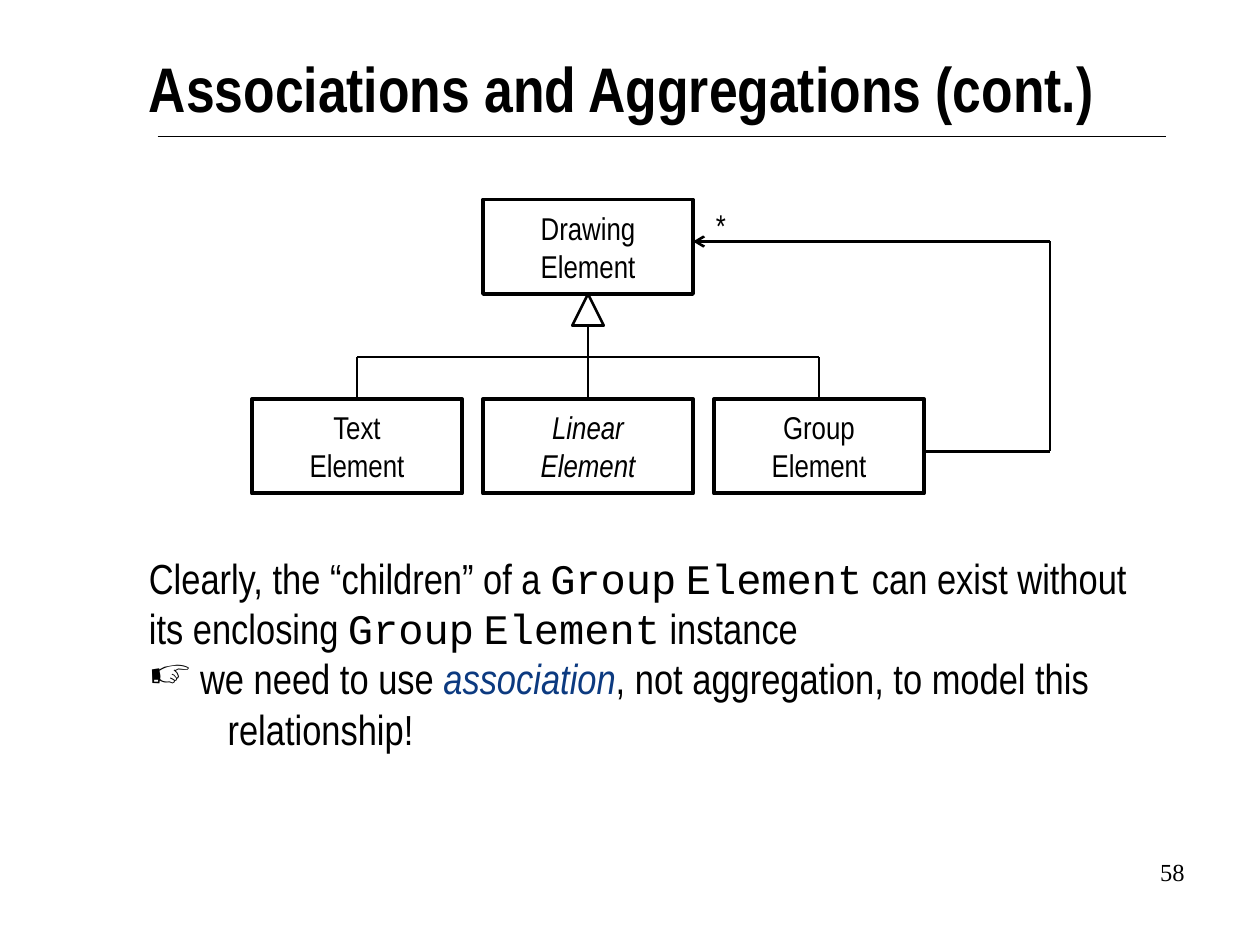
from lxml.etree import SubElement
from pptx import Presentation
from pptx.dml.color import RGBColor
from pptx.enum.shapes import MSO_CONNECTOR as Link, MSO_SHAPE as Shape
from pptx.enum.text import MSO_ANCHOR as Anchor, PP_ALIGN as Align
from pptx.oxml.ns import qn
from pptx.util import Pt

color = RGBColor.from_string
NARROW, MONO, SERIF = "Arial Narrow", "Courier New", "Times New Roman"
INK = "000000"


def put(para, text, size=24, face=NARROW, ink=INK, bold=False, slant=False):
    """Add text to a paragraph, with a line break at each newline."""
    for i, part in enumerate(text.split("\n")):
        if i:
            para.add_line_break()
        run = para.add_run()
        run.text = part
        font = run.font
        font.size, font.name, font.bold, font.italic = Pt(size), face, bold, slant
        font.color.rgb = color(ink)


def draw(kind, x, y, w, h, weight):
    """Add an outlined shape without fill."""
    item = shapes.add_shape(kind, Pt(x), Pt(y), Pt(w), Pt(h))
    item.shadow.inherit = False
    item.fill.background()
    item.line.color.rgb = color(INK)
    item.line.width = Pt(weight)
    return item


deck = Presentation()
deck.slide_width, deck.slide_height = Pt(720), Pt(540)
slide = deck.slides.add_slide(deck.slide_layouts[5])
shapes = slide.shapes

# Title
title = shapes.title
title.left, title.top, title.width, title.height = Pt(85), Pt(28), Pt(551), Pt(54)
frame = title.text_frame
frame.margin_left = frame.margin_right = frame.margin_top = frame.margin_bottom = 0
frame.vertical_anchor = Anchor.TOP
frame.word_wrap = True
frame.paragraphs[0].alignment = Align.LEFT
put(frame.paragraphs[0], "Associations and Aggregations (cont.)", size=36, bold=True)

# Class boxes: one parent above a row of three children
wide, high, step = 120, 54, 132
left, top, low = 144, 114, 228
mids = [left + wide / 2 + i * step for i in range(3)]
classes = [
    ("Drawing", mids[1], top, False),
    ("Text", mids[0], low, False),
    ("Linear", mids[1], low, True),
    ("Group", mids[2], low, False),
]
for name, mid, y, slant in classes:
    box = draw(Shape.RECTANGLE, mid - wide / 2, y, wide, high, 2.25)
    box.text_frame.vertical_anchor = Anchor.MIDDLE
    para = box.text_frame.paragraphs[0]
    para.alignment = Align.CENTER
    put(para, f"{name}\nElement", size=18, slant=slant)

# Inheritance triangle
tip = 18
base = top + high
draw(Shape.ISOSCELES_TRIANGLE, mids[1] - tip / 2, base, tip, tip, 1.5)

# Title rule, inheritance tree and association path
bar, side, start, end = 204, 600, 258, 138
lines = [
    (90, 78, 666, 78, 0.75),
    (mids[0], bar, mids[2], bar, 1.5),
    (mids[1], bar, mids[1], base + tip, 1.5),
    *[(mid, low, mid, bar, 1.5) for mid in mids],
    (mids[2] + wide / 2, start, side, start, 1.5),
    (side, start, side, end, 1.5),
    (side, end, mids[1] + wide / 2, end, 1.5),
]
for *ends, weight in lines:
    line = shapes.add_connector(Link.STRAIGHT, *[Pt(n) for n in ends])
    line.line.color.rgb = color(INK)
    line.line.width = Pt(weight)
    props = line._element.spPr
    SubElement(props, qn("a:effectLst"))
# The last line points at the parent class
SubElement(props.find(qn("a:ln")), qn("a:tailEnd"), type="arrow")

# Multiplicity and page number
labels = [
    ("*", (402, 114, 20, 29), Align.LEFT, 18, NARROW),
    ("58", (534, 486, 150, 36), Align.RIGHT, 14, SERIF),
]
for text, place, align, size, face in labels:
    frame = shapes.add_textbox(*[Pt(n) for n in place]).text_frame
    frame.word_wrap = True
    frame.paragraphs[0].alignment = align
    put(frame.paragraphs[0], text, size=size, face=face)

# Explanation
body = shapes.add_textbox(Pt(78), Pt(312), Pt(576), Pt(122)).text_frame
body.word_wrap = True
claim = body.paragraphs[0]
for lead, tail in [("Clearly, the “children” of a ", " can exist without its enclosing "),
                   ("", " instance")]:
    if lead:
        put(claim, lead)
    put(claim, "Group", face=MONO)
    put(claim, " ")
    put(claim, "Element", face=MONO)
    put(claim, tail)

advice = body.add_paragraph()
props = advice._p.get_or_add_pPr()
SubElement(props, qn("a:buChar"), char="☞")
tabs = SubElement(props, qn("a:tabLst"))
SubElement(tabs, qn("a:tab"), pos=str(Pt(45)), algn="l")
put(advice, " we need to use ")
put(advice, "association", ink="0C3A80", slant=True)
put(advice, ", not aggregation, to model this\n\trelationship!")

deck.save("out.pptx")
